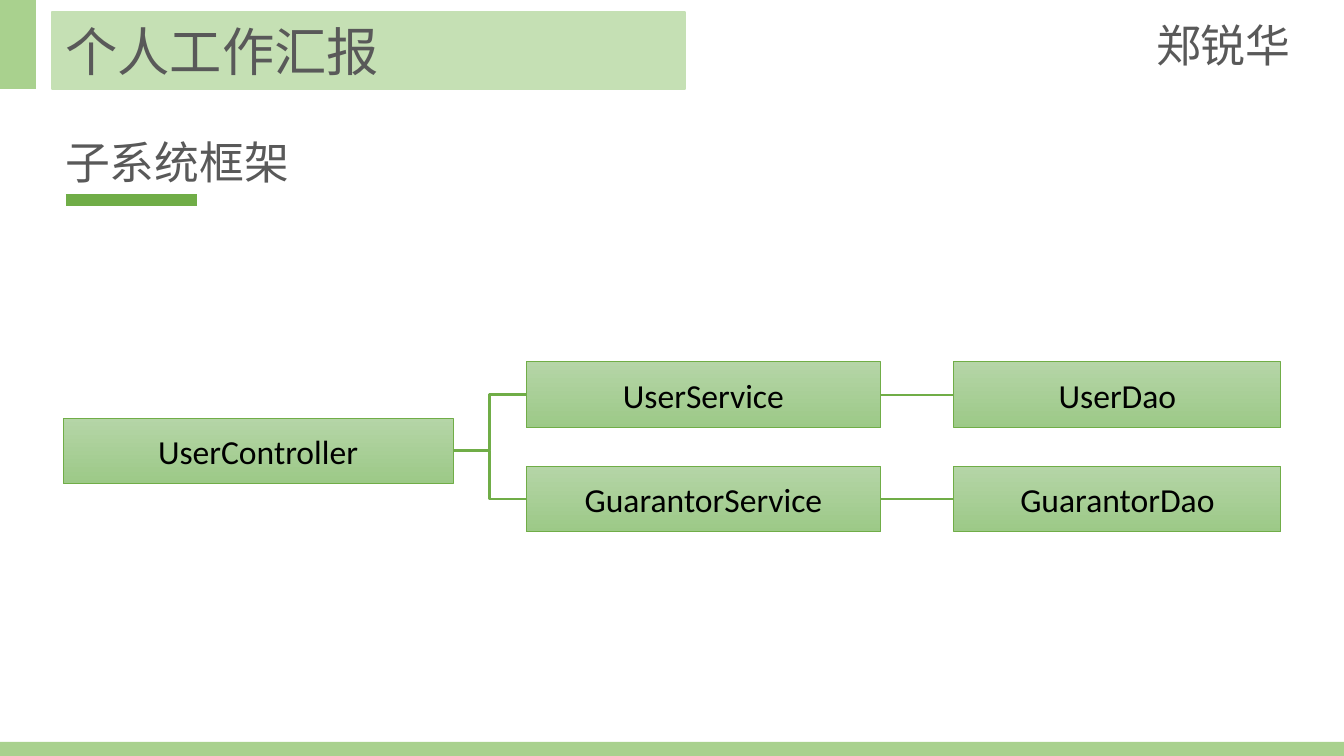
from pptx import Presentation, util as u
from pptx.dml.color import RGBColor
from pptx.enum import shapes, text
from pptx.oxml import ns
from lxml import etree

PX = 914400 / 134.4
GREEN, LIGHT, PALE, GREY = "70AD47", "A9D18E", "C5E0B4", "595959"


def rgb(code):
    return RGBColor.from_string(code)


def px(*vals):
    return [u.Emu(round(v * PX)) for v in vals]


class Deck:
    head = dict(size=u.Pt(28), name="Noto Sans CJK SC")
    sub = dict(size=u.Pt(24), name="Arial")
    node = dict(size=u.Pt(18), name="Calibri")

    def __init__(self, wide, high):
        self.prs = Presentation()
        self.prs.slide_width, self.prs.slide_height = px(wide, high)
        self.slide = self.prs.slides.add_slide(self.prs.slide_layouts[5])

    def words(self, shape, words, form, color, align, anchor):
        frame = shape.text_frame
        for key, val in dict(word_wrap=True, vertical_anchor=anchor,
                             auto_size=text.MSO_AUTO_SIZE.NONE).items():
            setattr(frame, key, val)
        para = frame.paragraphs[0]
        para.alignment = align
        run = para.add_run()
        run.text = words
        for key, val in form.items():
            setattr(run.font, key, val)
        run.font.color.rgb = rgb(color)
        # East Asian glyphs take the same typeface
        east = etree.SubElement(run._r.get_or_add_rPr(), ns.qn("a:ea"))
        east.set("typeface", form["name"])

    def title(self, words, x, y, w, h):
        shape = self.slide.shapes.title
        shape.left, shape.top, shape.width, shape.height = px(x, y, w, h)
        shape.fill.solid()
        shape.fill.fore_color.rgb = rgb(PALE)
        shape.line.color.rgb = rgb(PALE)
        shape.line.width = u.Pt(0.75)
        self.words(shape, words, self.head, GREY,
                   text.PP_ALIGN.LEFT, text.MSO_ANCHOR.TOP)

    def label(self, words, x, y, w, h):
        shape = self.slide.shapes.add_textbox(*px(x, y, w, h))
        self.words(shape, words, self.sub, GREY,
                   text.PP_ALIGN.LEFT, text.MSO_ANCHOR.TOP)

    def rect(self, x, y, w, h):
        shape = self.slide.shapes.add_shape(
            shapes.MSO_SHAPE.RECTANGLE, *px(x, y, w, h))
        shape.shadow.inherit = False
        return shape

    def band(self, x, y, w, h):
        shape = self.rect(x, y, w, h)
        shape.fill.solid()
        shape.fill.fore_color.rgb = rgb(LIGHT)
        shape.line.fill.background()

    def box(self, words, x, y, w, h):
        shape = self.rect(x, y, w, h)
        shape.fill.gradient()
        shape.fill.gradient_angle = 270
        for stop, code in zip(shape.fill.gradient_stops, ("B5D5A7", "9CC987")):
            stop.color.rgb = rgb(code)
        shape.line.color.rgb = rgb(GREEN)
        shape.line.width = u.Pt(0.5)
        self.words(shape, words, self.node, "000000",
                   text.PP_ALIGN.CENTER, text.MSO_ANCHOR.MIDDLE)
        return shape

    def line(self, kind, width, *ends):
        link = self.slide.shapes.add_connector(kind, *px(*ends))
        link.line.color.rgb = rgb(GREEN)
        link.line.width = u.Pt(width)
        etree.SubElement(link._element.spPr, ns.qn("a:effectLst"))
        return link

    def join(self, kind, start, end):
        link = self.line(kind, 1.5, 0, 0, 0, 0)
        link.begin_connect(start, 3)
        link.end_connect(end, 1)


def main():
    deck = Deck(1344, 756)
    bent, flat = shapes.MSO_CONNECTOR.ELBOW, shapes.MSO_CONNECTOR.STRAIGHT

    # Page frame
    deck.band(0, 0, 36, 89)
    deck.band(0, 742, 1344, 14)

    # Headings
    deck.title("个人工作汇报", 52, 12, 633, 77)
    deck.label("子系统框架", 52, 128, 1039, 67)
    deck.line(flat, 6, 66, 200, 197, 200)
    deck.label("郑锐华", 1143, 11, 162, 67)

    # Layers: controller, then one service and one store per row
    high = 66
    root = deck.box("UserController", 63, 418, 390, high)
    for name, y in (("User", 362), ("Guarantor", 466)):
        serve = deck.box(name + "Service", 526, y, 355, high)
        store = deck.box(name + "Dao", 954, y, 327, high)
        deck.join(bent, root, serve)
        deck.join(flat, serve, store)

    deck.prs.save("out.pptx")


if __name__ == "__main__":
    main()
